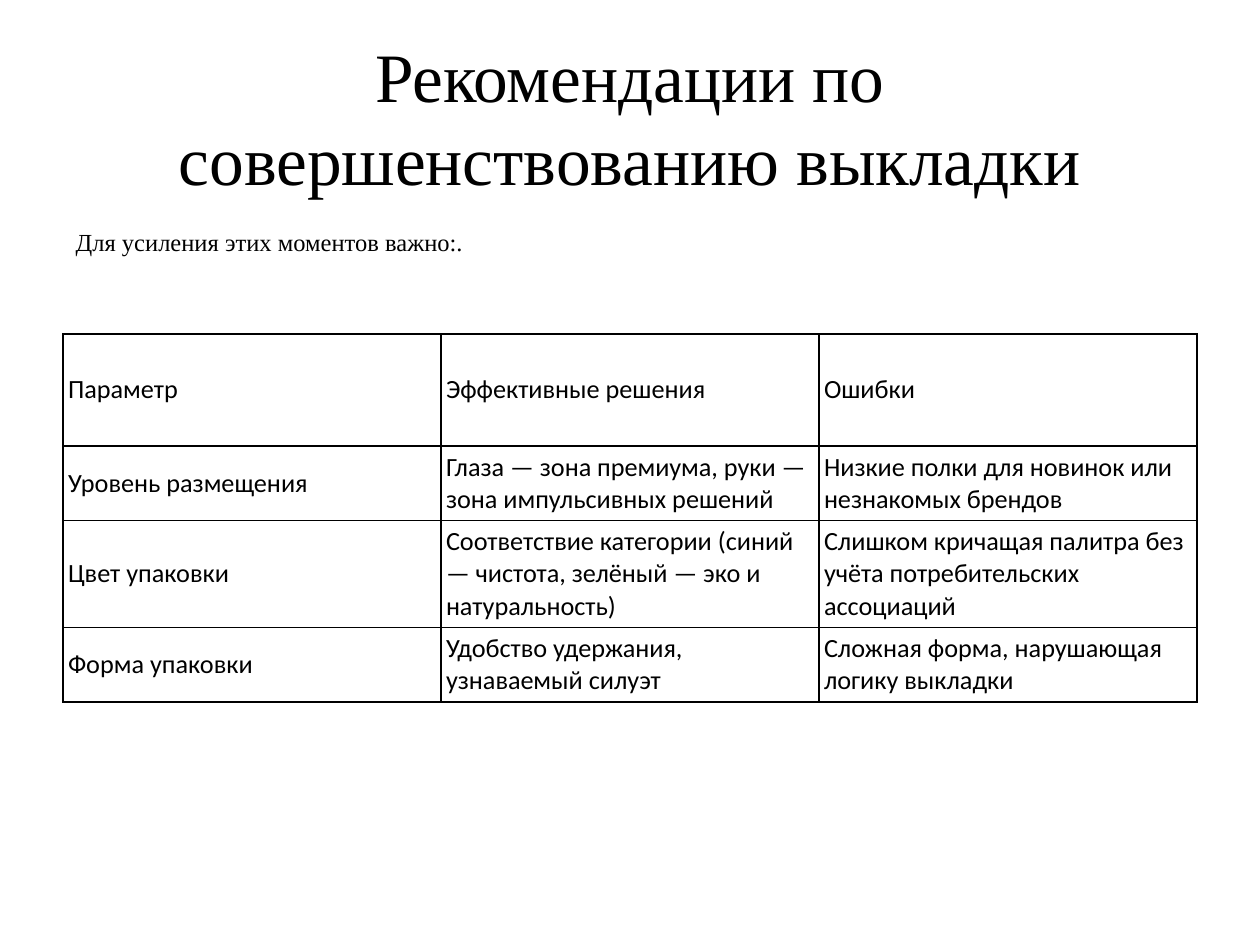
from dataclasses import dataclass

from lxml.etree import SubElement
from pptx import Presentation
from pptx.dml.color import RGBColor
from pptx.enum.text import MSO_ANCHOR as Anchor, MSO_AUTO_SIZE as AutoSize, PP_ALIGN as Align
from pptx.oxml.ns import qn
from pptx.util import Inches, Pt

BLACK = RGBColor(0, 0, 0)
SERIF = "Times New Roman"
SANS = "Calibri"
LEFT, WIDTH = 0.5, 9
CELL_MARGIN = Inches(0.04)


@dataclass(frozen=True)
class TableRow:
    height: float
    parameter: str
    solution: str
    mistake: str


ROWS = [
    TableRow(0.89, "Параметр", "Эффективные решения", "Ошибки"),
    TableRow(
        0.59,
        "Уровень размещения",
        "Глаза — зона премиума, руки — зона импульсивных решений",
        "Низкие полки для новинок или незнакомых брендов",
    ),
    TableRow(
        0.85,
        "Цвет упаковки",
        "Соответствие категории (синий — чистота, зелёный — эко и натуральность)",
        "Слишком кричащая палитра без учёта потребительских ассоциаций",
    ),
    TableRow(
        0.59,
        "Форма упаковки",
        "Удобство удержания, узнаваемый силуэт",
        "Сложная форма, нарушающая логику выкладки",
    ),
]


def format_font(paragraph, name: str, size: float) -> None:
    paragraph.font.name = name
    paragraph.font.size = Pt(size)
    paragraph.font.color.rgb = BLACK


def fill_placeholder(shape, text: str, top: float, height: float, size: float):
    shape.left, shape.top = Inches(LEFT), Inches(top)
    shape.width, shape.height = Inches(WIDTH), Inches(height)
    shape.text_frame.text = text
    shape.text_frame.auto_size = AutoSize.NONE
    paragraph = shape.text_frame.paragraphs[0]
    format_font(paragraph, SERIF, size)
    return paragraph


def remove_bullet(paragraph) -> None:
    properties = paragraph._p.get_or_add_pPr()
    properties.set("marL", "0")
    properties.set("indent", "0")
    SubElement(properties, qn("a:buNone"))


def add_borders(cell) -> None:
    properties = cell._tc.get_or_add_tcPr()
    for side in ("a:lnL", "a:lnR", "a:lnT", "a:lnB"):
        line = SubElement(properties, qn(side), w=str(Pt(1)))
        fill = SubElement(line, qn("a:solidFill"))
        SubElement(fill, qn("a:srgbClr"), val=str(BLACK))


def format_cell(cell, text: str) -> None:
    cell.text = text
    cell.vertical_anchor = Anchor.MIDDLE
    cell.margin_left = cell.margin_right = CELL_MARGIN
    cell.margin_top = cell.margin_bottom = CELL_MARGIN
    add_borders(cell)
    cell.fill.background()
    paragraph = cell.text_frame.paragraphs[0]
    format_font(paragraph, SANS, 15)
    paragraph.font.bold = False


def add_recommendations(slide, rows: list[TableRow], top: float) -> None:
    total_height = sum(row.height for row in rows)
    table = slide.shapes.add_table(
        len(rows), 3, Inches(LEFT), Inches(top), Inches(WIDTH), Inches(total_height)
    ).table
    table.first_row = table.horz_banding = False
    for table_row, row in zip(table.rows, rows):
        table_row.height = Inches(row.height)
        for cell, text in zip(table_row.cells, (row.parameter, row.solution, row.mistake)):
            format_cell(cell, text)


def main() -> None:
    presentation = Presentation()
    presentation.slide_width, presentation.slide_height = Inches(10), Inches(7.5)
    slide = presentation.slides.add_slide(presentation.slide_layouts[1])
    title, body = slide.placeholders

    heading = fill_placeholder(
        title, "Рекомендации по совершенствованию выкладки", 0.3, 1.25, 39.6
    )
    heading.alignment = Align.CENTER
    title.text_frame.vertical_anchor = Anchor.MIDDLE

    introduction = fill_placeholder(body, "Для усиления этих моментов важно:.", 1.75, 4.95, 14)
    remove_bullet(introduction)

    add_recommendations(slide, ROWS, 2.65)
    presentation.save("out.pptx")


if __name__ == "__main__":
    main()
